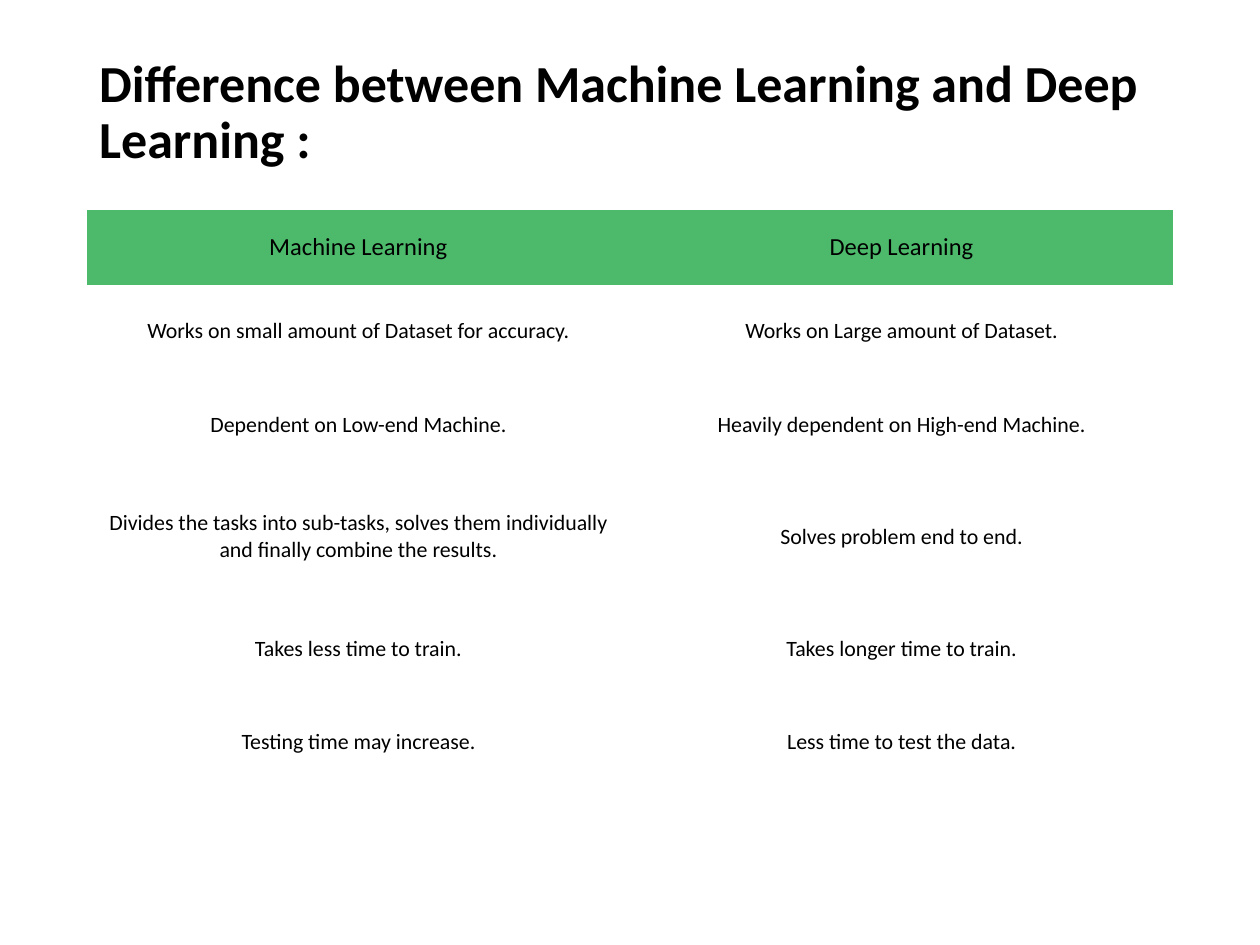
from dataclasses import dataclass

from pptx import Presentation
from pptx.dml.color import RGBColor
from pptx.enum import text
from pptx.oxml import ns
from pptx.util import Cm, Pt


@dataclass(frozen=True)
class Theme:
    font: str = "Calibri"
    ink: RGBColor = RGBColor(0x00, 0x00, 0x00)
    header_fill: RGBColor = RGBColor(0x4C, 0xB9, 0x6B)
    body_fill: RGBColor = RGBColor(0xFF, 0xFF, 0xFF)
    title_size: Pt = Pt(29.7)
    header_size: Pt = Pt(14)
    body_size: Pt = Pt(12.5)


THEME = Theme()
LEFT, WIDTH = Cm(1.75), Cm(21.9)
NO_GRID_STYLE = "{2D5ABB26-0587-4C30-8999-92F81FD0307C}"
TITLE = "Difference between Machine Learning and Deep Learning :"
COMPARISON = [
    ("Machine Learning", "Deep Learning"),
    ("Works on small amount of Dataset for accuracy.", "Works on Large amount of Dataset."),
    ("Dependent on Low-end Machine.", "Heavily dependent on High-end Machine."),
    ("Divides the tasks into sub-tasks, solves them individually and finally combine the results.",
     "Solves problem end to end."),
    ("Takes less time to train.", "Takes longer time to train."),
    ("Testing time may increase.", "Less time to test the data."),
]
ROW_HEIGHTS = [Cm(1.5), Cm(1.88), Cm(1.88), Cm(2.64), Cm(1.88), Cm(1.88)]


def style_paragraph(paragraph, size, bold=False):
    font = paragraph.font
    font.name = THEME.font
    font.size = size
    font.bold = bold
    font.color.rgb = THEME.ink


def add_title(slide):
    frame = slide.shapes.add_textbox(LEFT, Cm(1.02), WIDTH, Cm(3.68)).text_frame
    frame.word_wrap = True
    frame.vertical_anchor = text.MSO_ANCHOR.MIDDLE
    frame.margin_bottom = Cm(1.25)
    heading = frame.paragraphs[0]
    heading.text = TITLE
    heading.line_spacing = 0.9
    style_paragraph(heading, THEME.title_size, bold=True)


def fill_cell(cell, wording, is_header):
    cell.text = wording
    cell.vertical_anchor = text.MSO_ANCHOR.MIDDLE
    cell.margin_left = cell.margin_right = Cm(0.2 if is_header else 0.25)
    cell.margin_top = cell.margin_bottom = Cm(0.2 if is_header else 0.38)
    cell.fill.solid()
    cell.fill.fore_color.rgb = THEME.header_fill if is_header else THEME.body_fill
    paragraph = cell.text_frame.paragraphs[0]
    paragraph.alignment = text.PP_ALIGN.CENTER
    style_paragraph(paragraph, THEME.header_size if is_header else THEME.body_size)


def add_comparison(slide):
    table = slide.shapes.add_table(
        len(COMPARISON), 2, LEFT, Cm(4.24), WIDTH, sum(ROW_HEIGHTS)
    ).table
    table.horz_banding = False
    table._tbl.tblPr.find(ns.qn("a:tableStyleId")).text = NO_GRID_STYLE
    for row_index, (wordings, height) in enumerate(zip(COMPARISON, ROW_HEIGHTS)):
        row = table.rows[row_index]
        row.height = height
        for cell, wording in zip(row.cells, wordings):
            fill_cell(cell, wording, is_header=row_index == 0)


def main():
    presentation = Presentation()
    presentation.slide_width = Cm(25.4)
    presentation.slide_height = Cm(19.05)
    slide = presentation.slides.add_slide(presentation.slide_layouts[6])
    add_title(slide)
    add_comparison(slide)
    presentation.save("out.pptx")


if __name__ == "__main__":
    main()
